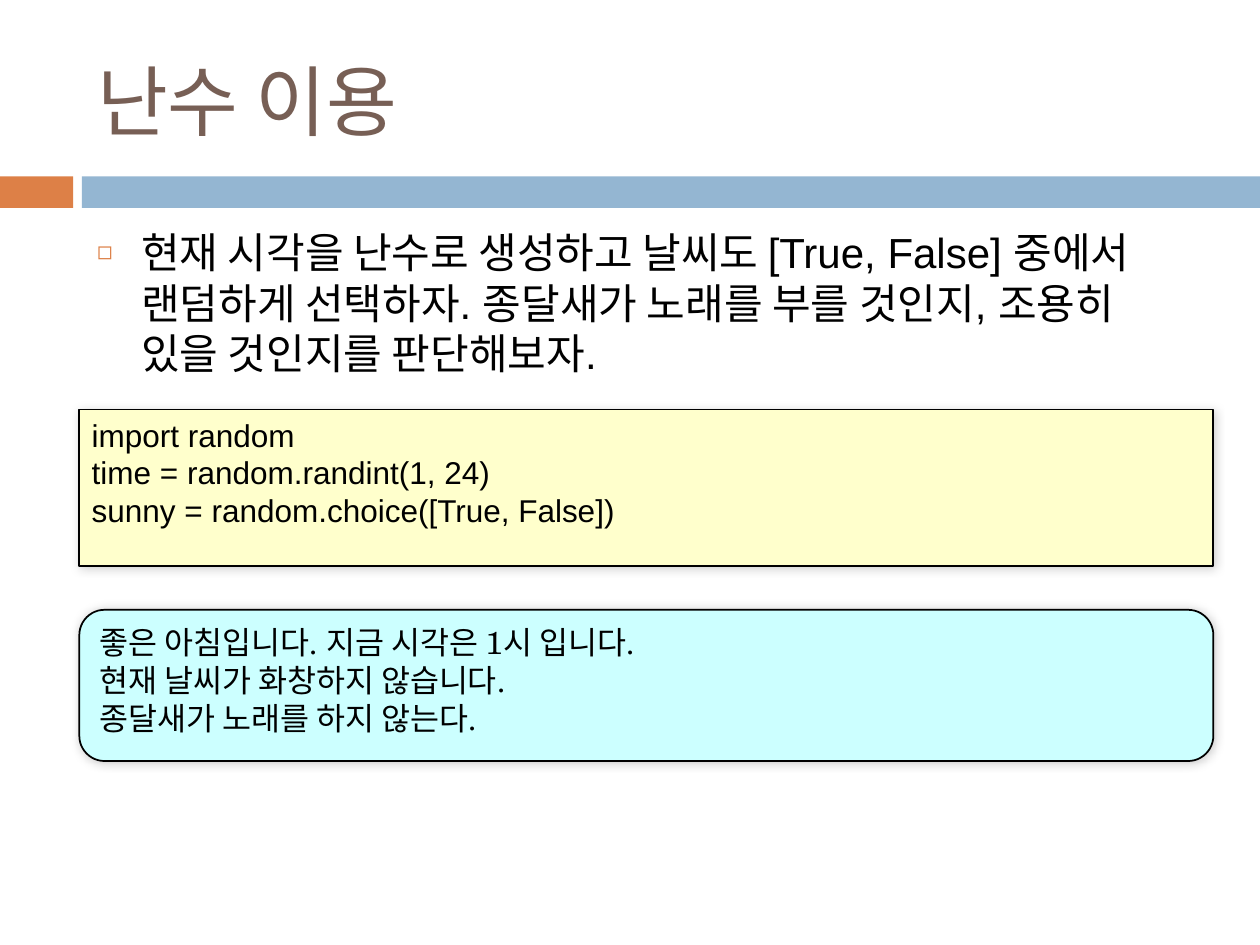
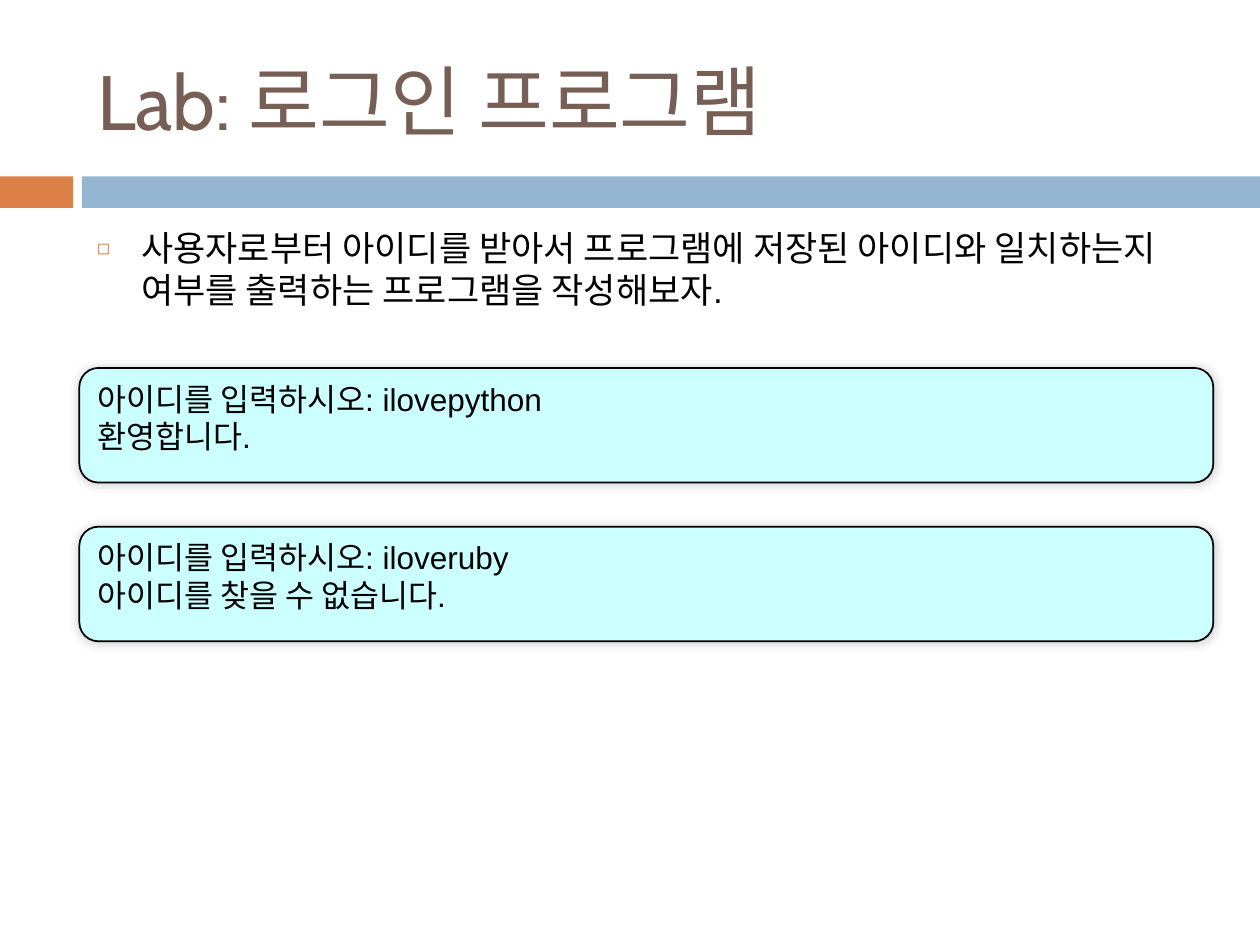
"""Build two Python lesson slides: random numbers and a login lab."""
from lxml.etree import SubElement
from pptx import Presentation
from pptx.dml.color import RGBColor
from pptx.enum.shapes import MSO_SHAPE
from pptx.enum.text import MSO_ANCHOR, MSO_AUTO_SIZE, PP_ALIGN
from pptx.oxml.ns import qn
from pptx.util import Inches, Pt

COLORS = {
    "accent": "DD8047", "band": "94B6D2", "title": "775F55",
    "ink": "000000", "code": "FFFFCC", "output": "CCFFFF",
}
SLIDES = [
    {
        "title": "난수 이용",
        "task": "현재 시각을 난수로 생성하고 날씨도 [True, False] 중에서 랜덤하게 선택하자. "
                "종달새가 노래를 부를 것인지, 조용히 있을 것인지를 판단해보자.",
        "task_size": 24,
        "panels": [
            {"kind": "code", "font": "Arial", "top": 3.25, "height": 1.24, "lines": [
                "import random",
                "time = random.randint(1, 24)",
                "sunny = random.choice([True, False])"]},
            {"kind": "output", "font": "TeX Gyre Schola", "top": 4.84, "height": 1.2, "lines": [
                "좋은 아침입니다. 지금 시각은 1시 입니다.",
                "현재 날씨가 화창하지 않습니다.",
                "종달새가 노래를 하지 않는다."]},
        ],
    },
    {
        "title": "Lab: 로그인 프로그램",
        "task": "사용자로부터 아이디를 받아서 프로그램에 저장된 아이디와 일치하는지 여부를 "
                "출력하는 프로그램을 작성해보자.",
        "task_size": 20,
        "panels": [
            {"kind": "output", "font": "Arial", "top": 2.92, "height": 0.91, "lines": [
                "아이디를 입력하시오: ilovepython", "환영합니다."]},
            {"kind": "output", "font": "Arial", "top": 4.18, "height": 0.91, "lines": [
                "아이디를 입력하시오: iloveruby", "아이디를 찾을 수 없습니다."]},
        ],
    },
]

WIDTH, HEIGHT = 10, 7.5
BAND_TOP, BAND_HEIGHT = 1.4, 0.25
BANDS = [("accent", 0, 0.58), ("band", 0.65, WIDTH - 0.65)]
TITLE_BOX = (0.67, 0.25, 8.92, 1.08)
TASK_BOX = (0.67, 1.75, 8.92, 4.92)
PANEL_LEFT, PANEL_WIDTH = 0.63, 9
PANEL_SHAPES = {"code": MSO_SHAPE.RECTANGLE, "output": MSO_SHAPE.FLOWCHART_ALTERNATE_PROCESS}
INDENT = Inches(0.35)


def color(name):
    return RGBColor.from_string(COLORS[name])


def write(shape, text, font, size, ink="ink", anchor=MSO_ANCHOR.TOP):
    frame = shape.text_frame
    frame.text = text
    frame_format = {"word_wrap": True, "auto_size": MSO_AUTO_SIZE.NONE, "vertical_anchor": anchor}
    for name, value in frame_format.items():
        setattr(frame, name, value)
    for paragraph in frame.paragraphs:
        paragraph.alignment = PP_ALIGN.LEFT
        run_font = paragraph.runs[0].font
        for name, value in {"name": font, "size": Pt(size)}.items():
            setattr(run_font, name, value)
        run_font.color.rgb = color(ink)


def place(placeholder, box):
    for name, value in zip(("left", "top", "width", "height"), box):
        setattr(placeholder, name, Inches(value))


def add_block(slide, kind, fill, box):
    block = slide.shapes.add_shape(kind, *map(Inches, box))
    block.shadow.inherit = False
    block.fill.solid()
    block.fill.fore_color.rgb = color(fill)
    block.line.fill.background()
    return block


def add_bullet(paragraph):
    paragraph.space_before = Pt(7)
    properties = paragraph._p.get_or_add_pPr()
    properties.set("marL", str(INDENT))
    properties.set("indent", str(-INDENT))
    tint = SubElement(properties, qn("a:buClr"))
    SubElement(tint, qn("a:srgbClr"), val=COLORS["accent"])
    SubElement(properties, qn("a:buSzPct"), val="60000")
    SubElement(properties, qn("a:buChar"), char="◻")


def add_soft_shadow(shape):
    effects = shape._element.spPr.find(qn("a:effectLst"))
    shadow = SubElement(effects, qn("a:outerShdw"), blurRad=str(Pt(6)), dist="0",
                        dir=str(315 * 60000), algn="ctr", rotWithShape="0")
    tint = SubElement(shadow, qn("a:srgbClr"), val=COLORS["ink"])
    SubElement(tint, qn("a:alpha"), val="20000")


def add_panel(slide, panel):
    box = (PANEL_LEFT, panel["top"], PANEL_WIDTH, panel["height"])
    block = add_block(slide, PANEL_SHAPES[panel["kind"]], panel["kind"], box)
    block.line.color.rgb = color("ink")
    block.line.width = Pt(1)
    add_soft_shadow(block)
    write(block, "\n".join(panel["lines"]), panel["font"], 18)


def add_lesson(deck, lesson):
    slide = deck.slides.add_slide(deck.slide_layouts[1])
    title, task = slide.placeholders
    for fill, left, width in BANDS:
        add_block(slide, MSO_SHAPE.RECTANGLE, fill, (left, BAND_TOP, width, BAND_HEIGHT))
    place(title, TITLE_BOX)
    write(title, lesson["title"], "Cabin", 44, "title", MSO_ANCHOR.MIDDLE)
    place(task, TASK_BOX)
    write(task, lesson["task"], "Arial", lesson["task_size"])
    add_bullet(task.text_frame.paragraphs[0])
    for panel in lesson["panels"]:
        add_panel(slide, panel)


def main():
    deck = Presentation()
    deck.slide_width, deck.slide_height = Inches(WIDTH), Inches(HEIGHT)
    for lesson in SLIDES:
        add_lesson(deck, lesson)
    deck.save("out.pptx")


if __name__ == "__main__":
    main()
